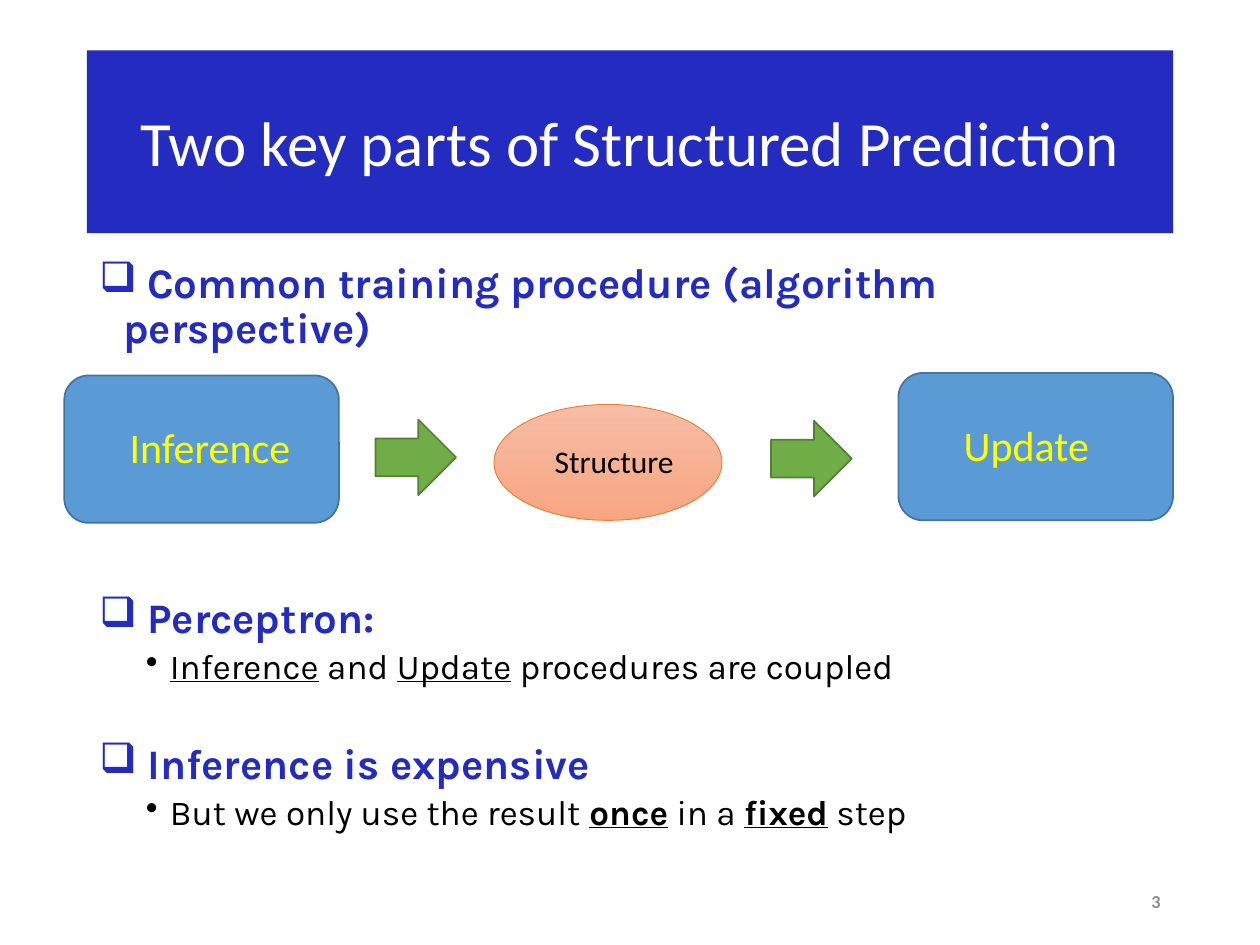
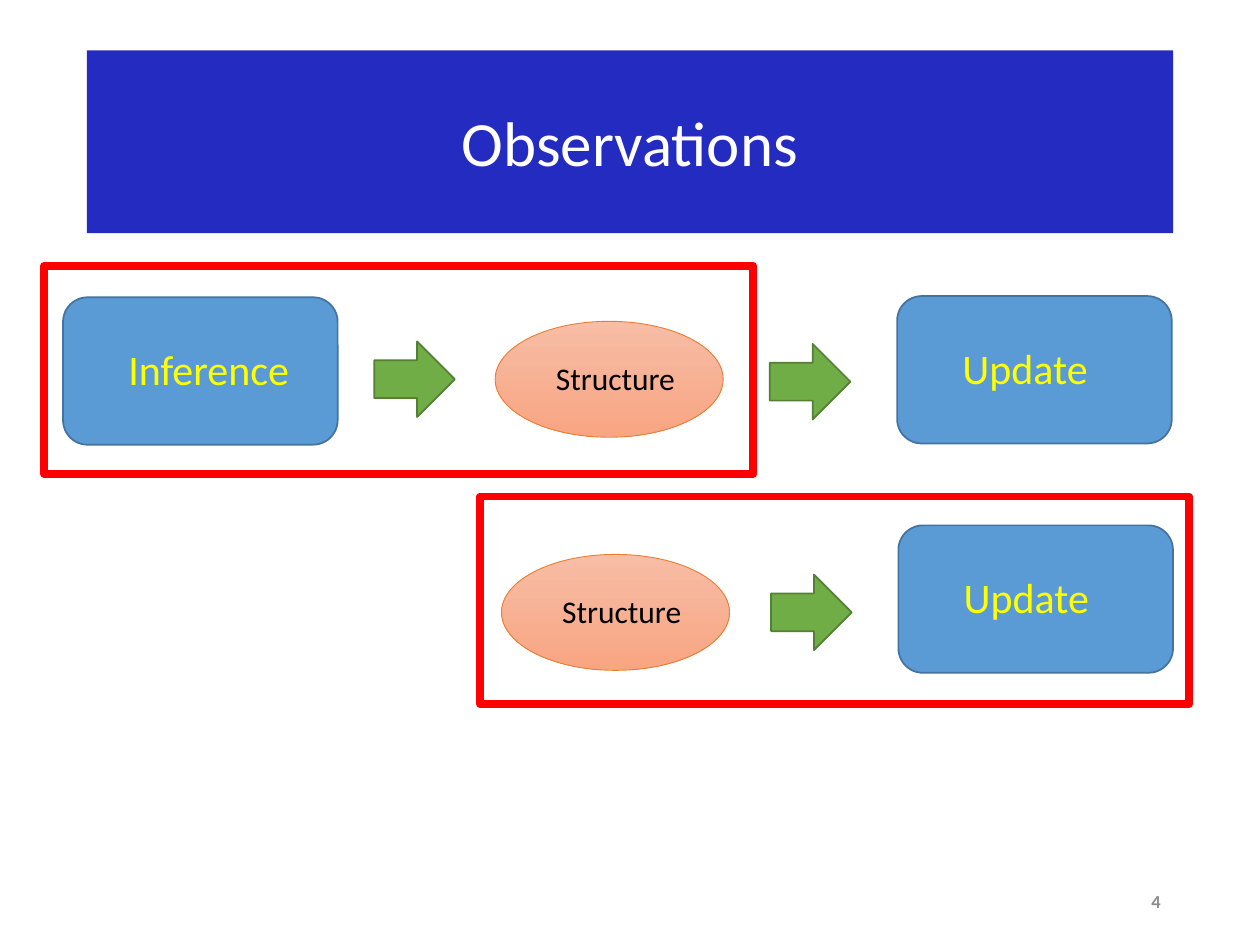
"""Build two slides on the inference and update steps of structured prediction."""
from lxml import etree
from pptx import Presentation
from pptx.dml.color import RGBColor
from pptx.enum.shapes import MSO_SHAPE
from pptx.enum.text import MSO_ANCHOR, PP_ALIGN
from pptx.oxml.ns import qn
from pptx.util import Inches, Pt

RECT, ROUNDED = MSO_SHAPE.RECTANGLE, MSO_SHAPE.ROUNDED_RECTANGLE
OVAL, ARROW = MSO_SHAPE.OVAL, MSO_SHAPE.RIGHT_ARROW
TOP, MIDDLE = MSO_ANCHOR.TOP, MSO_ANCHOR.MIDDLE
LEFT, CENTER, RIGHT = PP_ALIGN.LEFT, PP_ALIGN.CENTER, PP_ALIGN.RIGHT

NAVY = RGBColor(0x24, 0x2B, 0xC0)
WHITE = RGBColor(0xFF, 0xFF, 0xFF)
BLACK = RGBColor(0, 0, 0)
YELLOW = RGBColor(0xFF, 0xFF, 0)
RED = RGBColor(0xFF, 0, 0)
GRAY = RGBColor(0x8C, 0x8C, 0x8C)
BLUE, BLUE_EDGE = RGBColor(0x5B, 0x9B, 0xD5), RGBColor(0x43, 0x73, 0x9E)
GREEN, GREEN_EDGE = RGBColor(0x70, 0xAD, 0x47), RGBColor(0x53, 0x80, 0x35)
PEACH, SALMON = RGBColor(0xF7, 0xBD, 0xA5), RGBColor(0xF8, 0xA5, 0x82)
ORANGE = RGBColor(0xED, 0x7D, 0x31)

TITLE_BOX = (0.69, 0.4, 8.62, 1.45)
BODY_BOX = (0.69, 2.03, 8.62, 4.76)
NUMBER_BOX = (8.31, 6.95, 1, 0.4)

TITLE_FONT = {"name": "Calibri", "size": Pt(36), "color": WHITE}
NUMBER_FONT = {"name": "Calibri", "size": Pt(10.5), "color": GRAY, "bold": True}
STEP_FONT = {"name": "Calibri", "size": Pt(24), "color": YELLOW}
RESULT_FONT = {"name": "Calibri", "size": Pt(18), "color": BLACK}

LEVELS = [
    {"bullet": "❑", "indent": 0.19,
     "font": {"name": "Karla", "size": Pt(24), "color": NAVY, "bold": True}},
    {"bullet": "•", "indent": 0.56,
     "font": {"name": "Karla", "size": Pt(20), "color": BLACK, "bold": False}},
]
UNDERLINED = {"underline": True}
STRESSED = {"underline": True, "bold": True}

KINDS = {
    "step": {"shape": ROUNDED, "size": (2.18, 1.17), "fill": BLUE, "line": BLUE_EDGE,
             "width": 1, "label": (0.42, 0.32, 1.51, 0.5), "font": STEP_FONT, "align": LEFT},
    "result": {"shape": OVAL, "size": (1.81, 0.92), "fill": (PEACH, SALMON), "line": ORANGE,
               "width": 0.5, "label": (0.24, 0.25, 1.43, 0.4), "font": RESULT_FONT,
               "align": CENTER},
    "arrow": {"shape": ARROW, "size": (0.64, 0.6), "fill": GREEN, "line": GREEN_EDGE,
              "width": 1},
    "frame": {"shape": RECT, "size": (5.63, 1.65), "fill": None, "line": RED, "width": 4.5},
}

SLIDES = [
    {"title": "Two key parts of Structured Prediction", "number": "3",
     "body": [
         (0, 0, [(" Common training procedure (algorithm perspective)", {})]),
         (0, 140, [(" Perceptron:", {})]),
         (1, 3.8, [("Inference", UNDERLINED), (" and ", {}), ("Update", UNDERLINED),
                   (" procedures are coupled", {})]),
         (0, 32, [(" Inference is expensive", {})]),
         (1, 3.8, [("But we only use the result ", {}), ("once", STRESSED), (" in a ", {}),
                   ("fixed", STRESSED), (" step", {})]),
     ],
     "diagram": [
         ("step", 0.51, 2.98, "Inference"), ("arrow", 2.98, 3.33, ""),
         ("result", 3.92, 3.21, "Structure"), ("arrow", 6.12, 3.34, ""),
         ("step", 7.13, 2.96, "Update"),
     ]},
    {"title": "Observations", "number": "4", "body": [],
     "diagram": [
         ("step", 0.5, 2.36, "Inference"), ("arrow", 2.97, 2.71, ""),
         ("frame", 0.35, 2.11, ""), ("arrow", 6.11, 2.73, ""),
         ("step", 7.12, 2.35, "Update"), ("result", 3.93, 2.55, "Structure"),
         ("arrow", 6.12, 4.56, ""), ("step", 7.13, 4.17, "Update"),
         ("frame", 3.81, 3.94, ""), ("result", 3.98, 4.4, "Structure"),
     ]},
]


def set_font(font, values):
    for name, value in values.items():
        if name == "color":
            font.color.rgb = value
        else:
            setattr(font, name, value)


def write(sp, text, font, align, anchor=TOP):
    tf = sp.text_frame
    tf.word_wrap = True
    tf.vertical_anchor = anchor
    p = tf.paragraphs[0]
    p.alignment = align
    r = p.add_run()
    r.text = text
    set_font(r.font, font)


def add_text(s, box, text, font, align, anchor=TOP):
    write(s.shapes.add_textbox(*map(Inches, box)), text, font, align, anchor)


def add_shape(s, shape, box, fill, line=None, width=0):
    sp = s.shapes.add_shape(shape, *map(Inches, box))
    sp.shadow.inherit = False
    if fill is None:
        sp.fill.background()
    elif isinstance(fill, RGBColor):
        sp.fill.solid()
        sp.fill.fore_color.rgb = fill
    else:
        sp.fill.gradient()
        sp.fill.gradient_angle = 270
        for stop, color in zip(sp.fill.gradient_stops, fill):
            stop.color.rgb = color
    if line is None:
        sp.line.fill.background()
    else:
        sp.line.color.rgb = line
        sp.line.width = Pt(width)
    return sp


def add_body(s, paragraphs):
    tf = s.shapes.add_textbox(*map(Inches, BODY_BOX)).text_frame
    tf.word_wrap = True
    for i, (level, space, runs) in enumerate(paragraphs):
        p = tf.paragraphs[0] if i == 0 else tf.add_paragraph()
        style = LEVELS[level]
        p.level = level
        p.line_spacing = 0.9
        p.space_before = Pt(space)
        pPr = p._p.get_or_add_pPr()
        pPr.set("marL", str(Inches(style["indent"])))
        pPr.set("indent", str(-Inches(0.19)))
        etree.SubElement(pPr, qn("a:buChar")).set("char", style["bullet"])
        for text, extra in runs:
            r = p.add_run()
            r.text = text
            set_font(r.font, {**style["font"], **extra})


def add_part(s, kind, x, y, text):
    look = KINDS[kind]
    add_shape(s, look["shape"], (x, y, *look["size"]), look["fill"], look["line"], look["width"])
    if text:
        dx, dy, w, h = look["label"]
        add_text(s, (x + dx, y + dy, w, h), text, look["font"], look["align"])


def main():
    prs = Presentation()
    prs.slide_width, prs.slide_height = Inches(10), Inches(7.5)
    for content in SLIDES:
        s = prs.slides.add_slide(prs.slide_layouts[6])
        band = add_shape(s, RECT, TITLE_BOX, NAVY)
        write(band, content["title"], TITLE_FONT, CENTER, MIDDLE)
        if content["body"]:
            add_body(s, content["body"])
        for part in content["diagram"]:
            add_part(s, *part)
        add_text(s, NUMBER_BOX, content["number"], NUMBER_FONT, RIGHT, MIDDLE)
    prs.save("out.pptx")


if __name__ == "__main__":
    main()
